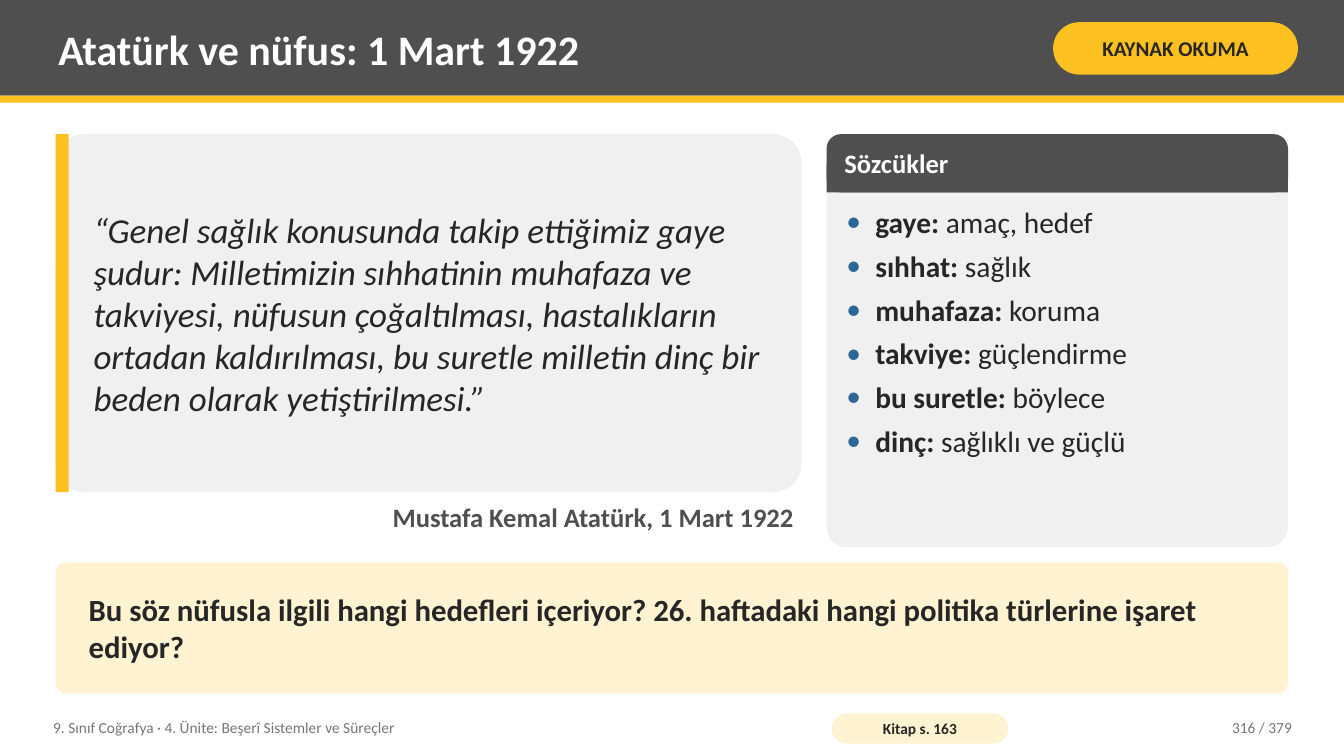
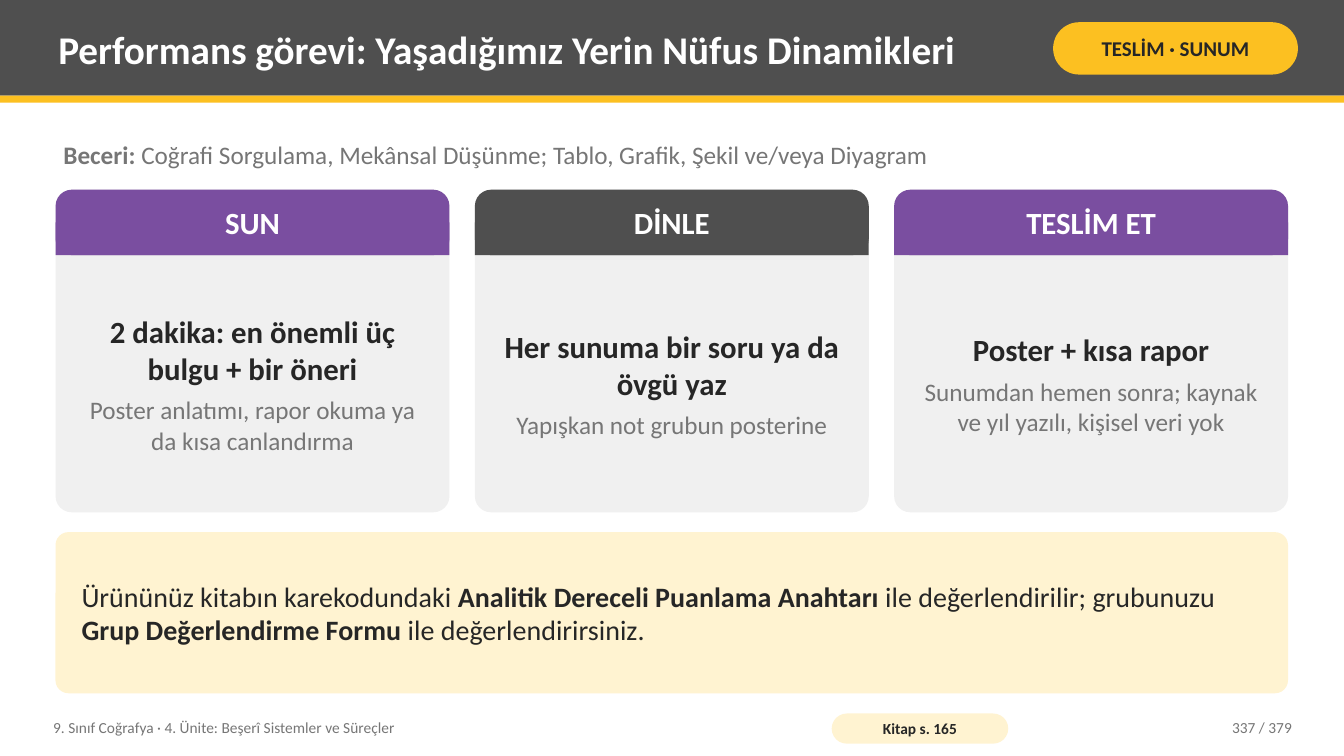
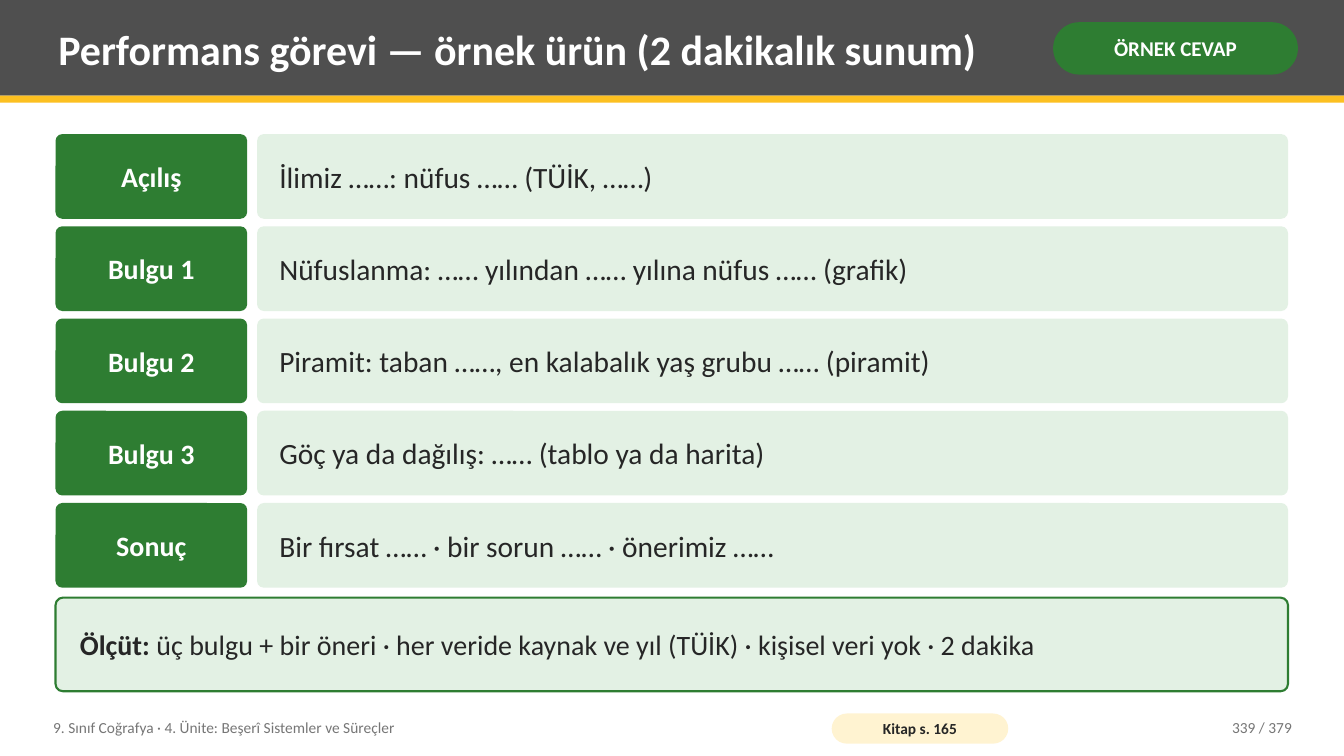
from dataclasses import dataclass

from lxml.etree import SubElement
from pptx import Presentation
from pptx.dml.color import RGBColor
from pptx.enum.shapes import MSO_SHAPE
from pptx.enum.text import MSO_ANCHOR, PP_ALIGN
from pptx.oxml.ns import qn
from pptx.util import Cm, Pt

FONT = "Calibri"
WHITE = RGBColor(0xFF, 0xFF, 0xFF)
INK = RGBColor(0x26, 0x26, 0x26)
MUTED = RGBColor(0x76, 0x76, 0x76)
CHARCOAL = RGBColor(0x4F, 0x4F, 0x4F)
YELLOW = RGBColor(0xFC, 0xC0, 0x21)
CREAM = RGBColor(0xFF, 0xF3, 0xD1)
PANEL = RGBColor(0xF0, 0xF0, 0xF0)
PURPLE = RGBColor(0x7A, 0x4E, 0xA0)
GREEN = RGBColor(0x2E, 0x7D, 0x32)
MINT = RGBColor(0xE3, 0xF1, 0xE4)
BLUE = RGBColor(0x2C, 0x66, 0x96)

SLIDE_WIDTH, SLIDE_HEIGHT = 33.87, 19.05
LEFT, WIDTH, TOP = 1.4, 31.06, 3.38
COURSE = "9. Sınıf Coğrafya · 4. Ünite: Beşerî Sistemler ve Süreçler"
PAGE_COUNT = 379


@dataclass
class Box:
    left: float
    top: float
    width: float
    height: float

    def lengths(self):
        return Cm(self.left), Cm(self.top), Cm(self.width), Cm(self.height)


@dataclass
class Line:
    content: object
    size: float
    color: RGBColor = INK
    bold: bool = False
    italic: bool = False
    align: PP_ALIGN = PP_ALIGN.LEFT
    after: float = 0
    bullet: bool = False


def add_bullet(paragraph):
    properties = paragraph._p.get_or_add_pPr()
    properties.set("marL", str(Cm(0.73)))
    properties.set("indent", str(-Cm(0.73)))
    bullet_color = SubElement(properties, qn("a:buClr"))
    SubElement(bullet_color, qn("a:srgbClr"), val=str(BLUE))
    SubElement(properties, qn("a:buFont"), typeface=FONT)
    SubElement(properties, qn("a:buChar"), char="•")


def write(shape, lines, inset=(0.2, 0.1), anchor=MSO_ANCHOR.MIDDLE):
    frame = shape.text_frame
    frame.word_wrap = True
    frame.vertical_anchor = anchor
    frame.margin_left = frame.margin_right = Cm(inset[0])
    frame.margin_top = frame.margin_bottom = Cm(inset[1])
    for index, line in enumerate(lines):
        paragraph = frame.add_paragraph() if index else frame.paragraphs[0]
        if line.bullet:
            add_bullet(paragraph)
        paragraph.alignment = line.align
        paragraph.space_after = Pt(line.after)
        font = paragraph.font
        font.name, font.size, font.italic = FONT, Pt(line.size), line.italic
        font.color.rgb = line.color
        if isinstance(line.content, str):
            font.bold = line.bold
            paragraph.add_run().text = line.content
            continue
        for text, bold in line.content:
            run = paragraph.add_run()
            run.text = text
            run.font.bold = bold


def add_text(slide, box, *lines, anchor=MSO_ANCHOR.MIDDLE):
    write(slide.shapes.add_textbox(*box.lengths()), lines, anchor=anchor)


def add_block(slide, box, fill, radius=None, outline=None):
    kind = MSO_SHAPE.RECTANGLE if radius is None else MSO_SHAPE.ROUNDED_RECTANGLE
    shape = slide.shapes.add_shape(kind, *box.lengths())
    if radius is not None:
        shape.adjustments[0] = radius
    shape.shadow.inherit = False
    shape.fill.solid()
    shape.fill.fore_color.rgb = fill
    if outline is None:
        shape.line.fill.background()
    else:
        shape.line.color.rgb = outline
        shape.line.width = Pt(1.5)
    return shape


def add_label(slide, box, fill, line, inset, radius=0.08, outline=None):
    write(add_block(slide, box, fill, radius, outline), [line], inset)


def add_header(slide, title, badge, title_size, badge_fill, badge_color):
    add_block(slide, Box(0, 0, SLIDE_WIDTH, 2.41), CHARCOAL)
    add_block(slide, Box(0, 2.41, SLIDE_WIDTH, 0.18), YELLOW)
    add_text(slide, Box(1.27, 0.18, 24.77, 2.08), Line(title, title_size, WHITE, True))
    add_label(slide, Box(26.54, 0.56, 6.17, 1.32), badge_fill,
              Line(badge, 15, badge_color, True, align=PP_ALIGN.CENTER), (0.13, 0.05), 0.5)


def add_footer(slide, book_page, number):
    add_text(slide, Box(1.14, 17.88, 19.3, 0.91), Line(COURSE, 11, MUTED))
    add_label(slide, Box(20.96, 17.98, 4.45, 0.76), CREAM,
              Line(f"Kitap s. {book_page}", 11, bold=True, align=PP_ALIGN.CENTER), (0.1, 0), 0.5)
    add_text(slide, Box(28.7, 17.88, 4.06, 0.91),
             Line(f"{number} / {PAGE_COUNT}", 11, MUTED, align=PP_ALIGN.RIGHT))


def start_slide(presentation, title, badge, book_page, number,
                title_size=30, badge_fill=YELLOW, badge_color=INK):
    slide = presentation.slides.add_slide(presentation.slide_layouts[6])
    add_header(slide, title, badge, title_size, badge_fill, badge_color)
    add_footer(slide, book_page, number)
    return slide


def add_card(slide, box, header_height, color, heading, lines, anchor):
    left, top, width = box.left, box.top, box.width
    half = header_height / 2
    add_block(slide, box, PANEL, 0.05)
    add_block(slide, Box(left, top, width, header_height), color, 0.25)
    add_block(slide, Box(left, top + half, width, half), color)
    add_text(slide, Box(left + 0.25, top, width - 0.5, header_height), heading)
    add_text(slide, Box(left + 0.3, top + header_height + 0.2, width - 0.6,
                        box.height - header_height - 0.4), *lines, anchor=anchor)


def add_quote(slide, box, quote, author):
    add_block(slide, box, PANEL, 0.08)
    add_block(slide, Box(box.left, box.top, 0.33, box.height), YELLOW)
    add_text(slide, Box(box.left + 0.76, box.top, box.width - 1.14, box.height),
             Line(quote, 25, italic=True))
    add_text(slide, Box(box.left, box.top + box.height + 0.13, box.width, 1.27),
             Line(author, 19, CHARCOAL, True, align=PP_ALIGN.RIGHT), anchor=MSO_ANCHOR.TOP)


def add_glossary(slide, box, heading, entries):
    lines = [Line([(f"{word}:", True), (f" {meaning}", False)], 21, after=6, bullet=True)
             for word, meaning in entries]
    add_card(slide, box, 1.47, CHARCOAL, Line(heading, 19, WHITE, True), lines, MSO_ANCHOR.TOP)


def add_task_cards(slide, box, tasks):
    gap = 0.64
    width = (box.width - gap * (len(tasks) - 1)) / len(tasks)
    for index, (color, heading, task, detail) in enumerate(tasks):
        add_card(slide, Box(box.left + index * (width + gap), box.top, width, box.height),
                 1.65, color, Line(heading, 22, WHITE, True, align=PP_ALIGN.CENTER),
                 [Line(task, 22, bold=True, align=PP_ALIGN.CENTER, after=6),
                  Line(detail, 18, MUTED, align=PP_ALIGN.CENTER)], MSO_ANCHOR.MIDDLE)


def add_answer_rows(slide, box, rows):
    row_gap, column_gap, label_width = 0.19, 0.25, 4.83
    height = (box.height - row_gap * (len(rows) - 1)) / len(rows)
    offset = label_width + column_gap
    for index, (label, answer) in enumerate(rows):
        top = box.top + index * (height + row_gap)
        add_label(slide, Box(box.left, top, label_width, height), GREEN,
                  Line(label, 20, WHITE, True, align=PP_ALIGN.CENTER), (0.36, 0.2))
        add_label(slide, Box(box.left + offset, top, box.width - offset, height), MINT,
                  Line(answer, 21), (0.51, 0.2))


def build_source_reading(presentation):
    slide = start_slide(presentation, "Atatürk ve nüfus: 1 Mart 1922", "KAYNAK OKUMA", 163, 316)
    add_quote(slide, Box(LEFT, TOP, 18.8, 9.02),
              "“Genel sağlık konusunda takip ettiğimiz gaye şudur: Milletimizin sıhhatinin "
              "muhafaza ve takviyesi, nüfusun çoğaltılması, hastalıkların ortadan kaldırılması, "
              "bu suretle milletin dinç bir beden olarak yetiştirilmesi.”",
              "Mustafa Kemal Atatürk, 1 Mart 1922")
    add_glossary(slide, Box(20.83, TOP, 11.63, 10.41), "Sözcükler", [
        ("gaye", "amaç, hedef"),
        ("sıhhat", "sağlık"),
        ("muhafaza", "koruma"),
        ("takviye", "güçlendirme"),
        ("bu suretle", "böylece"),
        ("dinç", "sağlıklı ve güçlü"),
    ])
    add_label(slide, Box(LEFT, 14.17, WIDTH, 3.3), CREAM,
              Line("Bu söz nüfusla ilgili hangi hedefleri içeriyor? 26. haftadaki hangi "
                   "politika türlerine işaret ediyor?", 22, bold=True), (0.76, 0.2))


def build_task(presentation):
    slide = start_slide(presentation, "Performans görevi: Yaşadığımız Yerin Nüfus Dinamikleri",
                        "TESLİM · SUNUM", 165, 337, title_size=28)
    add_text(slide, Box(LEFT, 3.25, WIDTH, 1.27), Line([
        ("Beceri:", True),
        (" Coğrafi Sorgulama, Mekânsal Düşünme; Tablo, Grafik, Şekil ve/veya Diyagram", False),
    ], 18, MUTED))
    add_task_cards(slide, Box(LEFT, 4.78, WIDTH, 8.13), [
        (PURPLE, "SUN", "2 dakika: en önemli üç bulgu + bir öneri",
         "Poster anlatımı, rapor okuma ya da kısa canlandırma"),
        (CHARCOAL, "DİNLE", "Her sunuma bir soru ya da övgü yaz",
         "Yapışkan not grubun posterine"),
        (PURPLE, "TESLİM ET", "Poster + kısa rapor",
         "Sunumdan hemen sonra; kaynak ve yıl yazılı, kişisel veri yok"),
    ])
    add_label(slide, Box(LEFT, 13.41, WIDTH, 4.06), CREAM, Line([
        ("Ürününüz kitabın karekodundaki ", False),
        ("Analitik Dereceli Puanlama Anahtarı", True),
        (" ile değerlendirilir; grubunuzu ", False),
        ("Grup Değerlendirme Formu", True),
        (" ile değerlendirirsiniz.", False),
    ], 20), (0.56, 0.2))


def build_sample_answer(presentation):
    slide = start_slide(presentation, "Performans görevi — örnek ürün (2 dakikalık sunum)",
                        "ÖRNEK CEVAP", 165, 339, badge_fill=GREEN, badge_color=WHITE)
    add_answer_rows(slide, Box(LEFT, TOP, WIDTH, 11.43), [
        ("Açılış", "İlimiz ……: nüfus …… (TÜİK, ……)"),
        ("Bulgu 1", "Nüfuslanma: …… yılından …… yılına nüfus …… (grafik)"),
        ("Bulgu 2", "Piramit: taban ……, en kalabalık yaş grubu …… (piramit)"),
        ("Bulgu 3", "Göç ya da dağılış: …… (tablo ya da harita)"),
        ("Sonuç", "Bir fırsat …… · bir sorun …… · önerimiz ……"),
    ])
    add_label(slide, Box(LEFT, 15.06, WIDTH, 2.36), MINT, Line([
        ("Ölçüt:", True),
        (" üç bulgu + bir öneri · her veride kaynak ve yıl (TÜİK) · kişisel veri yok · 2 dakika",
         False),
    ], 20), (0.56, 0.2), outline=GREEN)


def main():
    presentation = Presentation()
    presentation.slide_width = Cm(SLIDE_WIDTH)
    presentation.slide_height = Cm(SLIDE_HEIGHT)
    build_source_reading(presentation)
    build_task(presentation)
    build_sample_answer(presentation)
    presentation.save("out.pptx")


if __name__ == "__main__":
    main()
